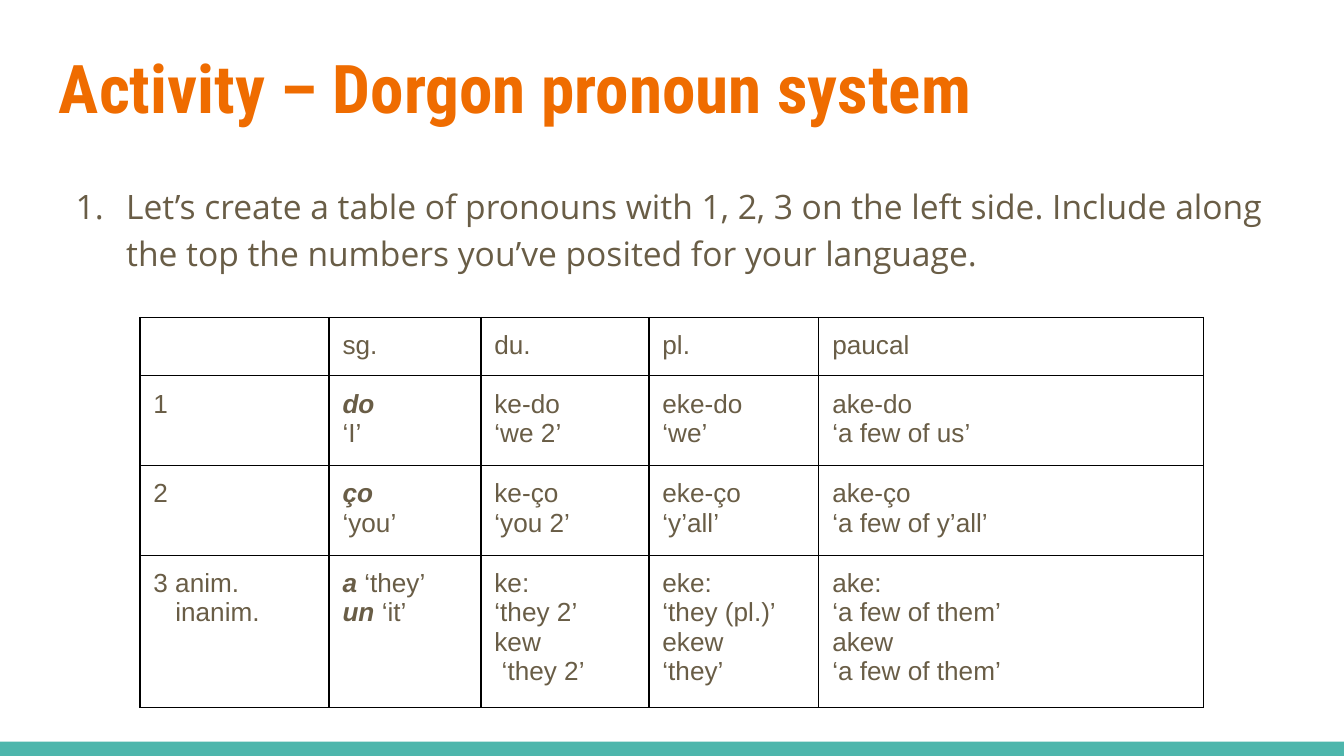
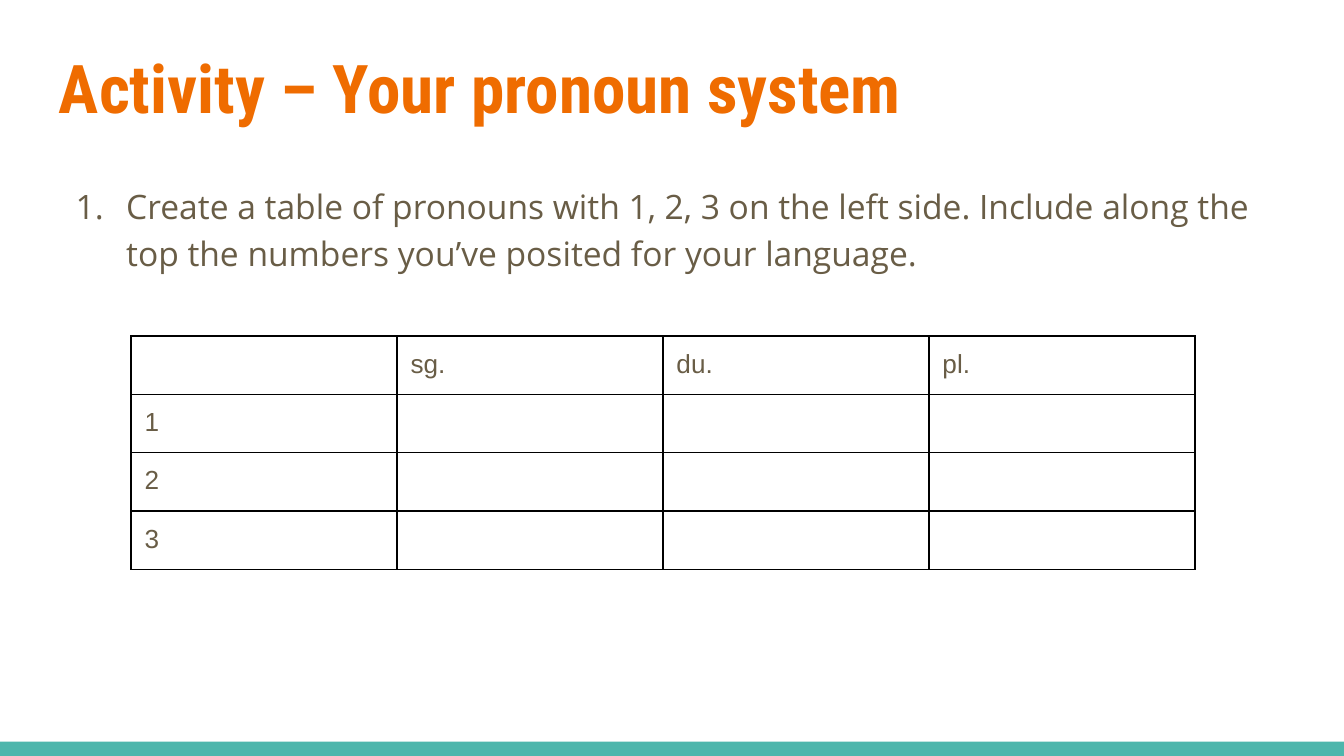
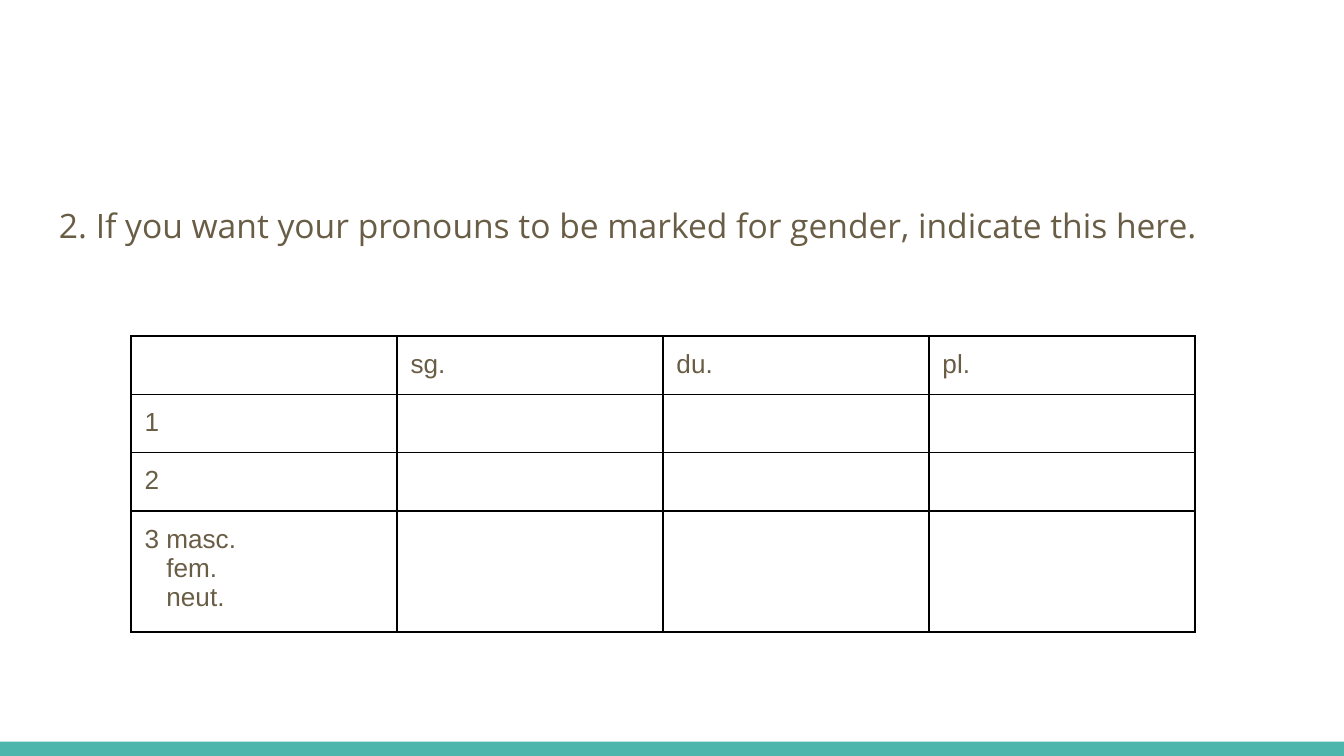
import pptx
import pptx.dml.color
import pptx.enum.shapes
import pptx.enum.text
import pptx.oxml
import pptx.oxml.ns
import pptx.util
from dataclasses import dataclass
from lxml import etree

Pt = pptx.util.Pt
qn = pptx.oxml.ns.qn


@dataclass(frozen=True)
class Theme:
    paper: str = "FFFFFF"
    band: str = "4DB6AC"
    heading: str = "EF6C00"
    text: str = "695D46"
    rule: str = "000000"
    heading_font: str = "Roboto Condensed"
    body_font: str = "Open Sans"
    table_font: str = "Arial"
    heading_size: int = 36
    body_size: int = 18
    table_size: int = 14
    inset: float = 7.2


theme = Theme()


def style(run, font, size, color, bold=False, italic=False):
    run.font.name = font
    run.font.size = Pt(size)
    run.font.color.rgb = pptx.dml.color.RGBColor.from_string(color)
    run.font.bold = bold
    run.font.italic = italic


def add_text(slide, top, height, text, font, size, color, bold=False):
    box = slide.shapes.add_textbox(Pt(24.5), Pt(top), Pt(671), Pt(height))
    frame = box.text_frame
    frame.word_wrap = True
    frame.vertical_anchor = pptx.enum.text.MSO_ANCHOR.TOP
    frame.margin_left = frame.margin_right = Pt(theme.inset)
    frame.margin_top = frame.margin_bottom = Pt(theme.inset)
    frame.text = text
    style(frame.paragraphs[0].runs[0], font, size, color, bold)
    return frame.paragraphs[0]


# Content: *stars* mark pronoun roots, each leading ">" indents by one space
numbers = ["", "sg.", "du.", "pl."]
table_width = 570
even_columns = [table_width / len(numbers)] * len(numbers)
lessons = [
    dict(
        title="Activity – Dorgon pronoun system",
        task="Let’s create a table of pronouns with 1, 2, 3 on the left side. "
             "Include along the top the numbers you’ve posited for your language.",
        numbered=True, task_top=89.3, table_at=(75, 170.1),
        columns=[101.3, 81.4, 90, 91, 206.3],
        pronouns=[
            numbers + ["paucal"],
            ["1", "*do*\n‘I’", "ke-do\n‘we 2’", "eke-do\n‘we’",
             "ake-do\n‘a few of us’"],
            ["2", "*ço*\n‘you’", "ke-ço\n‘you 2’", "eke-ço\n‘y’all’",
             "ake-ço\n‘a few of y’all’"],
            ["3 anim.\n>>>inanim.", "*a* ‘they’\n*un* ‘it’",
             "ke:\n‘they 2’\nkew\n>‘they 2’",
             "eke:\n‘they (pl.)’\nekew\n‘they’",
             "ake:\n‘a few of them’\nakew\n‘a few of them’"],
        ],
    ),
    dict(
        title="Activity – Your pronoun system",
        task="Create a table of pronouns with 1, 2, 3 on the left side. "
             "Include along the top the numbers you’ve posited for your language.",
        numbered=True, task_top=89.3, table_at=(70.2, 180),
        columns=even_columns,
        pronouns=[numbers] + [[person, "", "", ""] for person in "123"],
    ),
    dict(
        title=None,
        task="2. If you want your pronouns to be marked for gender, "
             "indicate this here.",
        numbered=False, task_top=99.6, table_at=(70.2, 180),
        columns=even_columns,
        pronouns=[numbers] + [[person, "", "", ""] for person in
                              ("1", "2", "3 masc.\n>>>fem.\n>>>neut.")],
    ),
]
line_height = 15.7
space_width = 3.9

deck = pptx.Presentation()
deck.slide_width, deck.slide_height = Pt(720), Pt(405)

for lesson in lessons:
    slide = deck.slides.add_slide(deck.slide_layouts[6])
    slide.background.fill.solid()
    slide.background.fill.fore_color.rgb = pptx.dml.color.RGBColor.from_string(theme.paper)

    # Bottom band
    band = slide.shapes.add_shape(pptx.enum.shapes.MSO_SHAPE.RECTANGLE,
                                  0, Pt(397.3), Pt(720), Pt(7.7))
    band.shadow.inherit = False
    band.fill.solid()
    band.fill.fore_color.rgb = pptx.dml.color.RGBColor.from_string(theme.band)
    band.line.fill.background()

    # Title
    if lesson["title"]:
        add_text(slide, 17.5, 55.4, lesson["title"], theme.heading_font,
                 theme.heading_size, theme.heading, bold=True)

    # Task
    task = add_text(slide, lesson["task_top"], 260, lesson["task"],
                    theme.body_font, theme.body_size, theme.text)
    task.line_spacing = 1.15
    if lesson["numbered"]:
        layout = task._p.get_or_add_pPr()
        layout.set("marL", str(Pt(36)))
        layout.set("indent", str(-Pt(27)))
        number_color = etree.SubElement(layout, qn("a:buClr"))
        etree.SubElement(number_color, qn("a:srgbClr"), val=theme.text)
        etree.SubElement(layout, qn("a:buFont"), typeface=theme.body_font)
        etree.SubElement(layout, qn("a:buAutoNum"), type="arabicPeriod")
    else:
        task.space_after = Pt(16)

    # Pronoun table, each row as tall as its longest cell
    pronouns, columns = lesson["pronouns"], lesson["columns"]
    heights = [2 * theme.inset + line_height * max(cell.count("\n") + 1 for cell in row)
               for row in pronouns]
    left, top = lesson["table_at"]
    grid = slide.shapes.add_table(len(pronouns), len(columns), Pt(left), Pt(top),
                                  Pt(table_width), Pt(sum(heights))).table
    grid.first_row = grid.horz_banding = False
    for column, width in zip(grid.columns, columns):
        column.width = Pt(width)
    for row, height in zip(grid.rows, heights):
        row.height = Pt(height)

    for row, forms in zip(grid.rows, pronouns):
        for cell, form in zip(row.cells, forms):
            cell.margin_left = cell.margin_right = Pt(theme.inset)
            cell.margin_top = cell.margin_bottom = Pt(theme.inset)
            for side in ("a:lnL", "a:lnR", "a:lnT", "a:lnB"):
                edge = etree.SubElement(cell._tc.get_or_add_tcPr(), qn(side),
                                        w=str(Pt(0.75)))
                edge_fill = etree.SubElement(edge, qn("a:solidFill"))
                etree.SubElement(edge_fill, qn("a:srgbClr"), val=theme.rule)
            cell.fill.background()

            cell.text_frame.text = form
            for line in cell.text_frame.paragraphs:
                if not line.text:
                    etree.SubElement(line._p, qn("a:endParaRPr"),
                                     sz=str(theme.table_size * 100))
                    continue
                words = line.text.lstrip(">")
                indent = len(line.text) - len(words)
                if indent:
                    line._p.get_or_add_pPr().set("marL", str(Pt(indent * space_width)))
                line.clear()
                for part, piece in enumerate(words.split("*")):
                    if piece:
                        run = line.add_run()
                        run.text = piece
                        root = part % 2 == 1
                        style(run, theme.table_font, theme.table_size, theme.text,
                              bold=root, italic=root)

deck.save("out.pptx")
